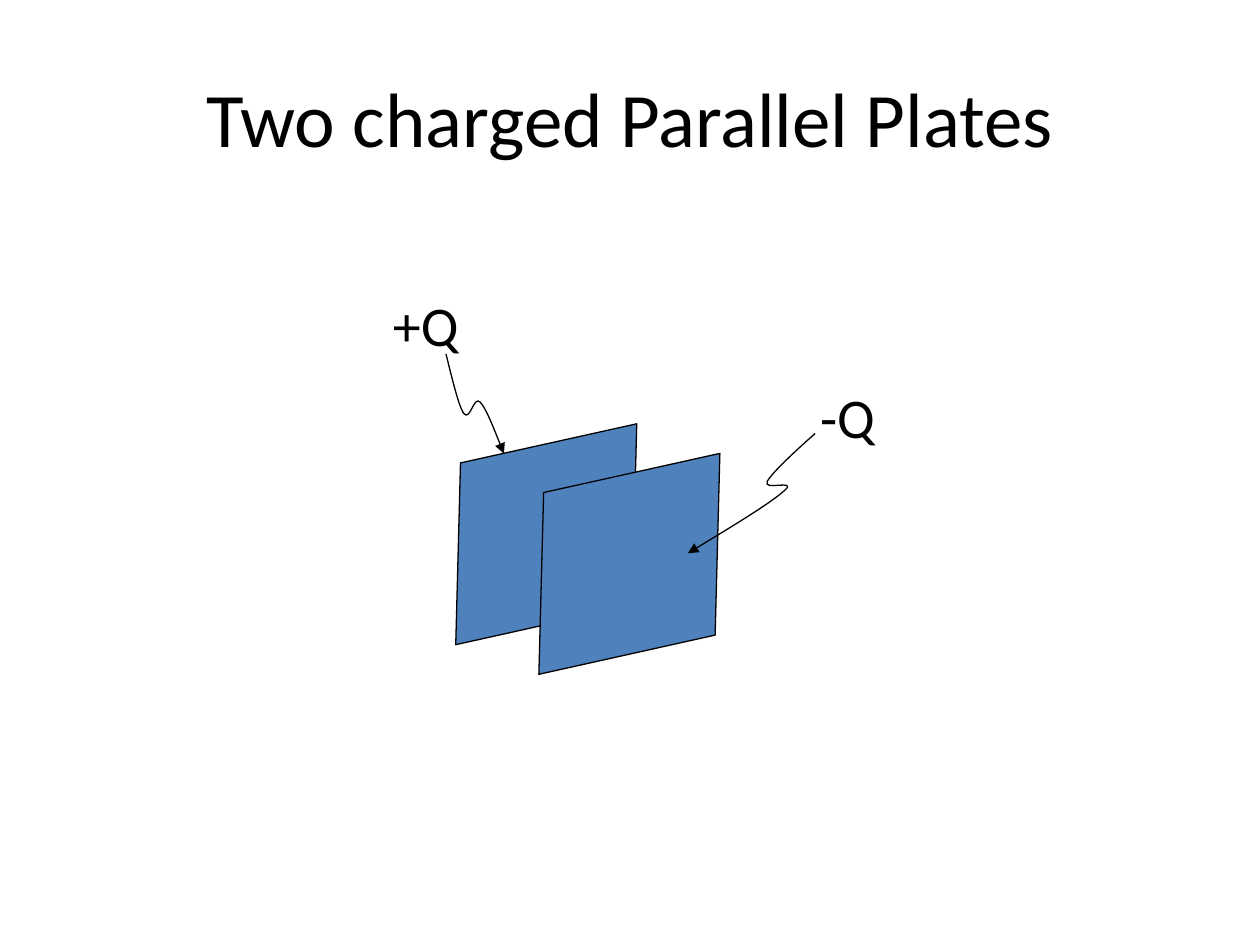
"""Build a slide of two charged parallel plates with labelled charges."""
from lxml.etree import SubElement
from pptx import Presentation
from pptx.dml.color import RGBColor
from pptx.enum.shapes import MSO_SHAPE
from pptx.enum.text import MSO_ANCHOR, MSO_AUTO_SIZE, PP_ALIGN
from pptx.oxml.ns import qn
from pptx.util import Inches, Pt

COLORS = {"ink": "000000", "plate": "4F81BD"}

prs = Presentation()
prs.slide_width, prs.slide_height = Inches(10), Inches(7.5)
col, row = prs.slide_width / 100, prs.slide_height / 75
s = prs.slides.add_slide(prs.slide_layouts[6])


def grid(*cells):
    return [round(c * (row if i % 2 else col)) for i, c in enumerate(cells)]


def outline(sp):
    sp.shadow.inherit = False
    sp.line.width = Pt(0.75)
    sp.line.color.rgb = RGBColor.from_string(COLORS["ink"])


for i in range(2):
    sp = s.shapes.add_shape(
        MSO_SHAPE.PARALLELOGRAM, *grid(34.4 + 6.6 * i, 35.45 + 2.35 * i, 17.9, 13.9))
    sp.adjustments[0] = 0.25
    sp.rotation = 271.5
    sp._element.spPr.find(qn("a:xfrm")).set("flipH", "1")
    sp.fill.solid()
    sp.fill.fore_color.rgb = RGBColor.from_string(COLORS["plate"])
    outline(sp)

arrows = [
    [(35.4, 28.1), (35.9, 30.1), (36.4, 32.2), (36.8, 32.8), (37.3, 33.5),
     (37.6, 31.4), (38.1, 31.9), (38.6, 32.4), (39.7, 35.3), (40, 36)],
    [(64.7, 34.4), (63, 35.9), (61.3, 37.5), (60.9, 38.2), (60.5, 39),
     (63.3, 38), (62.3, 38.9), (61.2, 39.9), (57.9, 41.9), (54.6, 43.9)],
]
for points in arrows:
    start, *rest = [grid(*pt) for pt in points]
    fb = s.shapes.build_freeform(*start)
    fb.add_line_segments(rest, close=False)
    sp = fb.convert_to_shape()
    sp.fill.background()
    outline(sp)
    curve = next(sp._element.iter(qn("a:path")))
    steps = curve.findall(qn("a:lnTo"))
    for k in range(0, len(steps), 3):
        bezier = SubElement(curve, qn("a:cubicBezTo"))
        for step in steps[k:k + 3]:
            bezier.append(step[0])
            curve.remove(step)
    SubElement(sp.line._get_or_add_ln(), qn("a:tailEnd"), type="triangle")

title = {"word_wrap": True, "auto_size": MSO_AUTO_SIZE.NONE,
         "vertical_anchor": MSO_ANCHOR.MIDDLE}
label = {"word_wrap": False, "auto_size": MSO_AUTO_SIZE.SHAPE_TO_FIT_TEXT,
         "vertical_anchor": MSO_ANCHOR.TOP}
texts = [
    ("Two charged Parallel Plates", (5, 3, 90, 12.5), 44, PP_ALIGN.CENTER, title),
    ("+Q", (30.2, 22.6, 8.1, 6.3), 32, PP_ALIGN.LEFT, label),
    ("-Q", (64.1, 29.85, 6.9, 6.3), 32, PP_ALIGN.LEFT, label),
]
for text, box, size, align, frame in texts:
    tf = s.shapes.add_textbox(*grid(*box)).text_frame
    for key, value in frame.items():
        setattr(tf, key, value)
    p = tf.paragraphs[0]
    p.alignment = align
    r = p.add_run()
    r.text = text
    for key, value in {"name": "Calibri", "size": Pt(size)}.items():
        setattr(r.font, key, value)
    r.font.color.rgb = RGBColor.from_string(COLORS["ink"])

prs.save("out.pptx")
